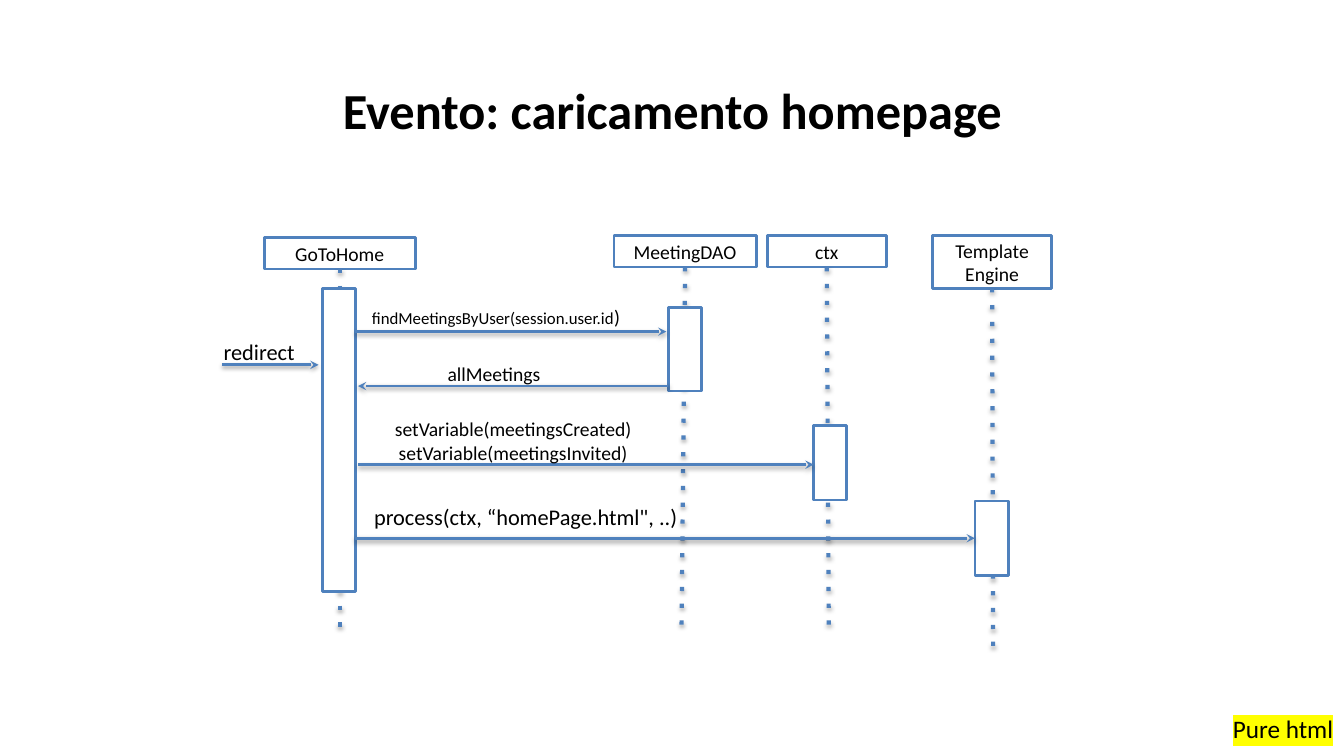
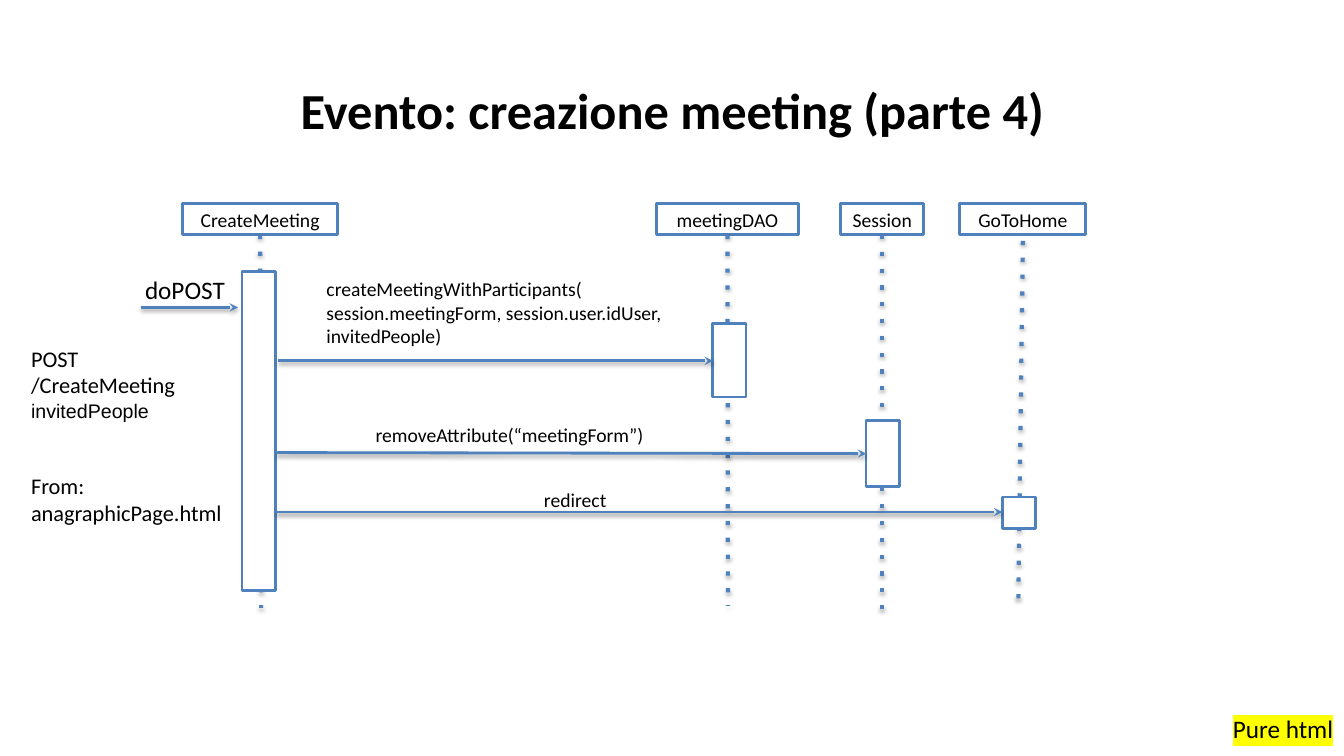
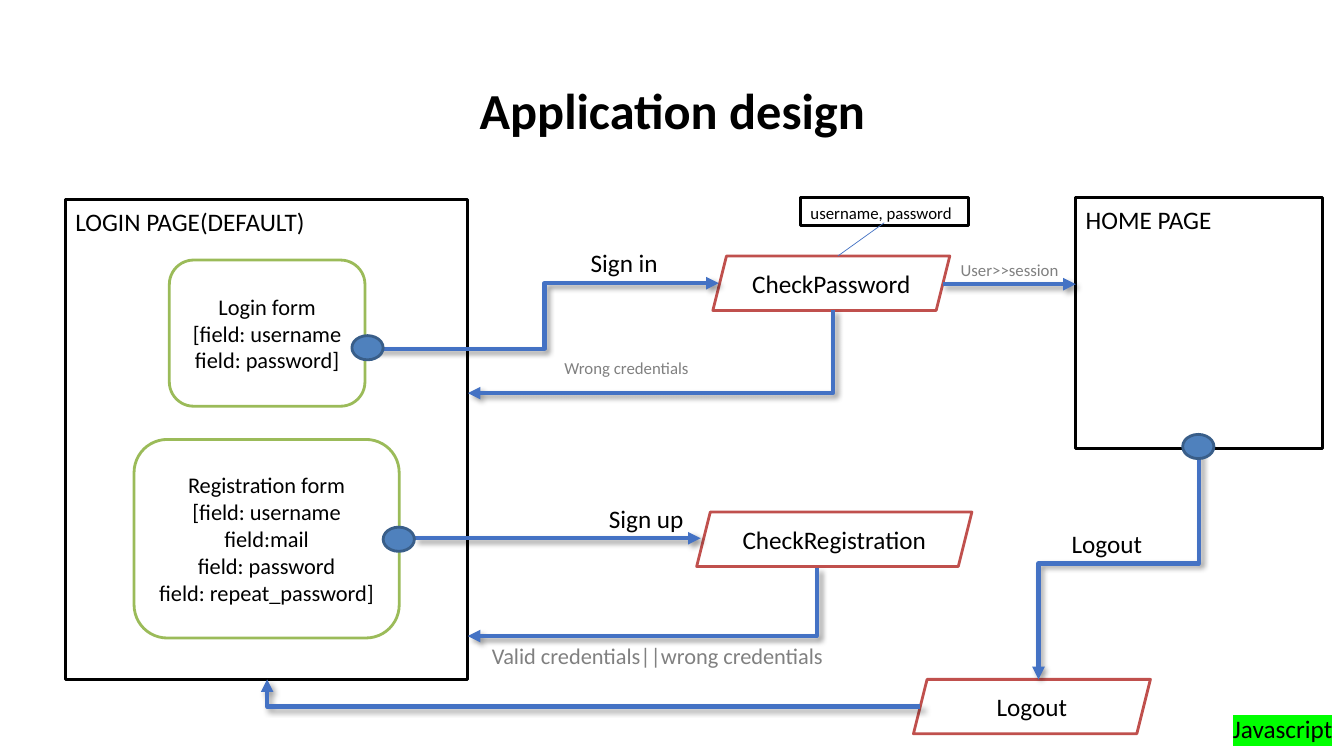
from dataclasses import dataclass

from lxml.etree import SubElement
from pptx import Presentation
from pptx.dml.color import RGBColor
from pptx.enum.shapes import MSO_CONNECTOR, MSO_SHAPE
from pptx.enum.text import MSO_ANCHOR, MSO_AUTO_SIZE, PP_ALIGN
from pptx.oxml.ns import qn
from pptx.util import Inches, Pt

BLACK, WHITE, GREY = "000000", "FFFFFF", "808080"
BLUE, DARK_BLUE, FLOW_BLUE = "4F81BD", "395E89", "4472C4"
GREEN, RED = "9BBB59", "C0504D"
YELLOW_MARK, GREEN_MARK = "FFFF00", "00FF00"
LEFT, CENTER = PP_ALIGN.LEFT, PP_ALIGN.CENTER
TOP, MIDDLE = MSO_ANCHOR.TOP, MSO_ANCHOR.MIDDLE

# Connector looks: shadow is opacity %, blur, distance (points), angle
LIFELINE = dict(color=BLUE, width=3, dash="dot", shadow=(35, 3.1, 1.8, 90))
MESSAGE = dict(color=BLUE, width=2, head="stealth", shadow=(38, 3.1, 1.6, 90))
FLOW = dict(color=FLOW_BLUE, width=3, head="triangle", shadow=(40, 4, 3, 45))
POINTER = dict(color=FLOW_BLUE, width=0.5)


@dataclass
class Box:
    left: float
    top: float
    width: float
    height: float

    def at(self, left, top, width, height):
        return Box(self.left + left, self.top + top, width, height)

    def point(self, x, y):
        return self.left + x, self.top + y

    def lengths(self):
        return [Inches(n) for n in (self.left, self.top, self.width, self.height)]


@dataclass
class Lifeline:
    name: list
    head: tuple            # left, top, width, height
    foot: tuple            # x, y where the dotted line ends
    bar: tuple             # left, top, height of the activation
    gap: float = 0         # between head and dotted line


@dataclass
class Message:
    start: tuple
    end: tuple
    lines: list
    label: tuple           # left, top, width, height
    size: float = 14
    align: PP_ALIGN = LEFT


def rgb(color):
    return RGBColor.from_string(color)


# ---- Text ----
def add_span(para, text, size, color=BLACK, name="Calibri", bold=False):
    span = para.add_run()
    span.text = text
    style = dict(size=Pt(size), name=name, bold=bold)
    for key, value in style.items():
        setattr(span.font, key, value)
    span.font.color.rgb = rgb(color)
    return span


def write(frame, lines, size, color=BLACK, align=LEFT, anchor=TOP, bold=False):
    style = dict(word_wrap=True, auto_size=MSO_AUTO_SIZE.NONE, vertical_anchor=anchor)
    for key, value in style.items():
        setattr(frame, key, value)
    for index, line in enumerate(lines):
        para = frame.add_paragraph() if index else frame.paragraphs[0]
        para.alignment = align
        add_span(para, line, size, color, bold=bold)


def add_label(page, box, lines, size, color=BLACK, align=LEFT):
    frame = page.shapes.add_textbox(*box.lengths()).text_frame
    write(frame, lines, size, color, align)
    return frame


# ---- Shapes and connectors ----
def add_block(page, box, line, fill=WHITE, width=2, kind=MSO_SHAPE.RECTANGLE,
              lines=(), size=14, align=CENTER, anchor=MIDDLE):
    shape = page.shapes.add_shape(kind, *box.lengths())
    shape.shadow.inherit = False
    if fill:
        shape.fill.solid()
        shape.fill.fore_color.rgb = rgb(fill)
    else:
        shape.fill.background()
    shape.line.color.rgb = rgb(line)
    shape.line.width = Pt(width)
    write(shape.text_frame, lines, size, align=align, anchor=anchor)


def add_line(page, start, end, color, width, dash=None, head=None, shadow=None,
             kind=MSO_CONNECTOR.STRAIGHT):
    connector = page.shapes.add_connector(
        kind, *[Inches(n) for n in (*start, *end)])
    connector.line.color.rgb = rgb(color)
    connector.line.width = Pt(width)
    properties = connector.element.spPr
    outline = properties.find(qn("a:ln"))
    if dash:
        SubElement(outline, qn("a:prstDash"), val=dash)
    if head:
        SubElement(outline, qn("a:tailEnd"), type=head)
    effects = SubElement(properties, qn("a:effectLst"))
    if shadow:
        opacity, blur, distance, angle = shadow
        outer = SubElement(effects, qn("a:outerShdw"), blurRad=str(Pt(blur)),
                           dist=str(Pt(distance)), dir=str(angle * 60000),
                           rotWithShape="0")
        tint = SubElement(outer, qn("a:srgbClr"), val=BLACK)
        SubElement(tint, qn("a:alpha"), val=str(opacity * 1000))
    return connector


def add_elbow(page, start, end, bend=None, corner=False, downward=False):
    """Across-down-across by default; one corner, or down-across-down."""
    if downward:
        middle_x, middle_y = (start[0] + end[0]) / 2, (start[1] + end[1]) / 2
        half_drop, half_run = (end[1] - start[1]) / 2, (start[0] - end[0]) / 2
        start = middle_x - half_drop, middle_y - half_run
        end = middle_x + half_drop, middle_y + half_run
    connector = add_line(page, start, end, kind=MSO_CONNECTOR.ELBOW, **FLOW)
    properties = connector.element.spPr
    geometry = properties.find(qn("a:prstGeom"))
    if downward:
        properties.find(qn("a:xfrm")).set("rot", str(90 * 60000))
    if corner:
        geometry.set("prst", "bentConnector2")
    if bend is not None:
        guides = geometry.find(qn("a:avLst"))
        SubElement(guides, qn("a:gd"), name="adj1", fmla=f"val {int(bend * 100000)}")


# ---- Shared page frame: title and corner tag ----
def add_page(deck, title, tag, mark):
    page = deck.slides.add_slide(deck.slide_layouts[5])
    heading = page.shapes.title
    place = zip(("left", "top", "width", "height"), Box(0.92, 0.4, 11.5, 1.45).lengths())
    for key, value in place:
        setattr(heading, key, value)
    write(heading.text_frame, [title], 36, align=CENTER, anchor=MIDDLE, bold=True)
    heading.text_frame.paragraphs[0].line_spacing = 0.9

    frame = add_label(page, Box(12.13, 7.03, 1.2, 0.4), [tag], 18)
    frame.word_wrap = False
    font_fill = frame.paragraphs[0].runs[0].font.fill
    font_fill.solid()
    font_fill.fore_color.rgb = rgb(BLACK)
    solid = frame.paragraphs[0].runs[0].font._element.find(qn("a:solidFill"))
    highlight = solid.makeelement(qn("a:highlight"), {})
    SubElement(highlight, qn("a:srgbClr"), val=mark)
    solid.addnext(highlight)
    return page


# ---- Sequence diagrams ----
def add_lifeline(page, area, lifeline):
    left, top, width, height = lifeline.head
    add_block(page, area.at(*lifeline.head), BLUE, lines=lifeline.name)
    start = area.point(left + width / 2, top + height + lifeline.gap)
    add_line(page, start, area.point(*lifeline.foot), **LIFELINE)
    bar_left, bar_top, bar_height = lifeline.bar
    add_block(page, area.at(bar_left, bar_top, 0.33, bar_height), BLUE)


def add_sequence(page, area, lifelines, messages):
    for lifeline in lifelines:
        add_lifeline(page, area, lifeline)
    frames = []
    for message in messages:
        add_line(page, area.point(*message.start), area.point(*message.end), **MESSAGE)
        frames.append(add_label(page, area.at(*message.label), message.lines,
                                message.size, align=message.align))
    return frames


def add_request_note(page, box):
    frame = add_label(page, box, ["POST", "/CreateMeeting"], 16)
    add_span(frame.add_paragraph(), "invitedPeople", 14, name="Arial")
    source = frame.add_paragraph()
    source.space_before = Pt(36)
    add_span(source, "From: anagraphicPage.html", 16)


# ---- Application map ----
def add_panel(page, box, title, title_width):
    add_block(page, box, BLACK, fill=None, width=2.25)
    add_label(page, box.at(0, 0.02, title_width, 0.4), [title], 18)


def add_login_panel(page, box):
    add_panel(page, box, "LOGIN PAGE(DEFAULT)", 2.56)
    forms = [
        ((1.03, 0.6, 1.94, 1.45),
         ["Login form", "[field: username", "field: password]"]),
        ((0.68, 2.38, 2.63, 1.97),
         ["Registration form", "[field: username", "field:mail",
          "field: password", "field: repeat_password]"]),
    ]
    for place, lines in forms:
        add_block(page, box.at(*place), GREEN, kind=MSO_SHAPE.ROUNDED_RECTANGLE,
                  lines=lines, size=16)


def add_actions(page, area):
    actions = [("CheckPassword", 7.07, 0.54, 2.35),
               ("CheckRegistration", 6.91, 3.08, 2.73),
               ("Logout", 9.06, 4.74, 2.35)]
    for name, left, top, width in actions:
        add_block(page, area.at(left, top, width, 0.54), RED,
                  kind=MSO_SHAPE.PARALLELOGRAM, lines=[name], size=18)
    add_block(page, area.at(7.94, -0.04, 1.67, 0.28), BLACK,
              lines=["username, password"], size=12, align=LEFT, anchor=TOP)
    add_line(page, area.point(8.77, 0.21), area.point(8.31, 0.54), **POINTER)


def add_flows(page, area):
    elbows = [
        ((3.67, 1.46), (7.13, 0.81), {}),
        ((8.26, 1.08), (4.64, 1.9), dict(bend=0)),
        ((8.1, 3.64), (4.64, 4.31), dict(bend=0)),
        ((11.89, 2.44), (10.3, 4.74), dict(downward=True)),
        ((9.13, 5.01), (2.65, 4.74), dict(corner=True)),
    ]
    for start, end, route in elbows:
        add_elbow(page, area.point(*start), area.point(*end), **route)
    for start, end in [((9.35, 0.82), (10.67, 0.82)), ((4.12, 3.34), (6.95, 3.34))]:
        add_line(page, area.point(*start), area.point(*end), **FLOW)

    # Starting points of the flows
    for left, top in [(3.49, 1.33), (3.8, 3.23), (11.73, 2.31)]:
        add_block(page, area.at(left, top, 0.31, 0.24), DARK_BLUE, fill=BLUE,
                  kind=MSO_SHAPE.OVAL)

    labels = [
        ("Sign in", (5.76, 0.4, 0.9, 0.4), 18, BLACK),
        ("Sign up", (5.94, 2.94, 0.95, 0.4), 18, BLACK),
        ("Logout", (10.53, 3.19, 0.93, 0.4), 18, BLACK),
        ("Wrong credentials", (5.5, 1.5, 2.12, 0.3), 12, GREY),
        ("User>>session", (9.43, 0.53, 1.3, 0.3), 12, GREY),
        ("Valid credentials||wrong credentials", (4.78, 4.32, 3.99, 0.37), 16, GREY),
    ]
    for text, place, size, color in labels:
        add_label(page, area.at(*place), [text], size, color)


# ---- Pages ----
def homepage_page(deck, area):
    page = add_page(deck, "Evento: caricamento homepage", "Pure html", YELLOW_MARK)
    lifelines = [
        Lifeline(["GoToHome"], (2.62, 0.36, 1.5, 0.31), (3.37, 4.28), (3.2, 0.86, 3.01)),
        Lifeline(["MeetingDAO"], (6.09, 0.34, 1.41, 0.31), (6.76, 4.21),
                 (6.63, 1.05, 0.83)),
        Lifeline(["ctx"], (7.61, 0.34, 1.18, 0.31), (8.22, 4.21), (8.07, 2.22, 0.74)),
        Lifeline(["Template", "Engine"], (9.25, 0.34, 1.18, 0.52), (9.85, 4.42),
                 (9.67, 2.97, 0.74)),
    ]
    messages = [
        Message((3.52, 1.29), (6.61, 1.29), ["findMeetingsByUser(session.user.id"],
                (3.59, 0.98, 2.91, 0.25), 12),
        Message((2.2, 1.62), (3.16, 1.62), ["redirect"], (2.12, 1.31, 1, 0.3), 16),
        Message((6.63, 1.83), (3.55, 1.83), ["allMeetings"], (4.34, 1.54, 1.52, 0.25)),
        Message((3.55, 2.61), (8.07, 2.61),
                ["setVariable(meetingsCreated)", "setVariable(meetingsInvited)"],
                (3.7, 2.09, 2.78, 0.28), align=CENTER),
        Message((3.52, 3.34), (9.67, 3.34), ["process(ctx, “homePage.html\", ..)"],
                (3.53, 2.94, 3.37, 0.36), 16, CENTER),
    ]
    find_meetings = add_sequence(page, area, lifelines, messages)[0]
    add_span(find_meetings.paragraphs[0], ")", 14)


def creation_page(deck, area):
    page = add_page(deck, "Evento: creazione meeting (parte 4)", "Pure html", YELLOW_MARK)
    lifelines = [
        Lifeline(["CreateMeeting"], (1.81, 0.02, 1.54, 0.31), (2.59, 4.03),
                 (2.4, 0.69, 3.17)),
        Lifeline(["meetingDAO"], (6.51, 0.02, 1.41, 0.31), (7.22, 4.01),
                 (7.07, 1.21, 0.73)),
        Lifeline(["Session"], (8.34, 0.02, 0.82, 0.31), (8.75, 4.11), (8.59, 2.17, 0.66)),
        Lifeline(["GoToHome"], (9.52, 0.02, 1.25, 0.31), (10.1, 3.95),
                 (9.94, 2.93, 0.31), gap=0.06),
    ]
    messages = [
        Message((1.4, 1.05), (2.36, 1.05), ["doPOST"], (1.34, 0.67, 1, 0.3), 18),
        Message((2.76, 1.58), (7.07, 1.58),
                ["createMeetingWithParticipants(",
                 "session.meetingForm, session.user.idUser,", "invitedPeople)"],
                (3.14, 0.7, 4.06, 0.78)),
        Message((2.74, 2.49), (8.59, 2.5), ["removeAttribute(“meetingForm”)"],
                (3.35, 2.15, 3.41, 0.34), align=CENTER),
        Message((2.74, 3.08), (9.94, 3.08), ["redirect"],
                (4, 2.79, 3.41, 0.34), align=CENTER),
    ]
    add_sequence(page, area, lifelines, messages)
    add_request_note(page, area.at(0.21, 1.37, 2.2, 2.31))


def design_page(deck, area):
    page = add_page(deck, "Application design", "Javascript", GREEN_MARK)
    add_login_panel(page, area.at(0.65, -0.02, 3.99, 4.76))
    add_panel(page, area.at(10.67, -0.04, 2.45, 2.49), "HOME PAGE", 1.67)
    add_actions(page, area)
    add_flows(page, area)


deck = Presentation()
deck.slide_width, deck.slide_height = Inches(13.33), Inches(7.5)
content = Box(0, 2, 13.33, 5.5)
for build in (homepage_page, creation_page, design_page):
    build(deck, content)
deck.save("out.pptx")
